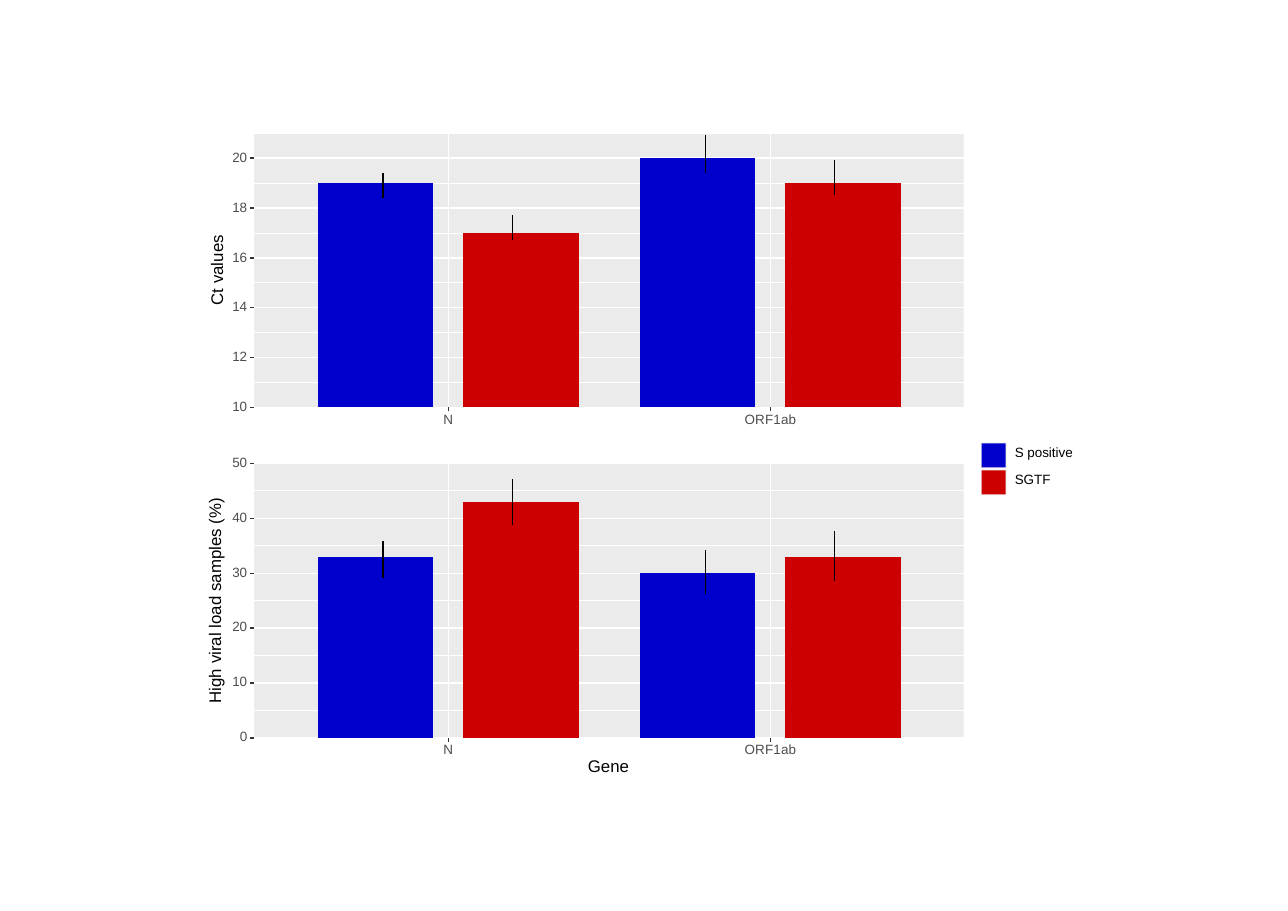
from dataclasses import dataclass

from lxml.etree import SubElement
from pptx import Presentation
from pptx.chart.data import CategoryChartData
from pptx.dml.color import RGBColor
from pptx.enum.chart import XL_CHART_TYPE, XL_TICK_LABEL_POSITION, XL_TICK_MARK
from pptx.enum.shapes import MSO_CONNECTOR, MSO_SHAPE
from pptx.enum.text import MSO_ANCHOR, PP_ALIGN
from pptx.oxml import parse_xml
from pptx.oxml.ns import nsdecls, qn
from pptx.util import Pt

PX = 8313  # EMU per px, 110 px to the inch
COLORS = {
    "panel": "EBEBEB", "grid": "FFFFFF", "tick": "333333", "label": "4D4D4D",
    "text": "000000", "key": "F2F2F2", "S positive": "0000CD", "SGTF": "CD0000",
}
FONT = "Arial"
GENES = ["N", "ORF1ab"]
GENE_X = [448, 770]
GENE_STEP = 322
INTERVAL_SHIFTS = {"S positive": -65, "SGTF": 64}
PANEL_LEFT, PANEL_WIDTH, PANEL_HEIGHT = 254, 709, 274
LABEL_HEIGHT = 24


@dataclass
class Panel:
    title: str
    title_x: int
    title_y: int
    top: int
    low: int
    high: int
    major: range
    minor: range
    values: dict
    intervals: dict

    def y(self, value):
        share = (value - self.low) / (self.high - self.low)
        return round(self.top + PANEL_HEIGHT * (1 - share))


PANELS = [
    Panel("Ct values", 218, 270, 133, 10, 21, range(10, 21, 2), range(11, 22, 2),
          {"S positive": [19, 20], "SGTF": [17, 19]},
          {"S positive": [(18.4, 19.4), (19.4, 20.9)],
           "SGTF": [(16.7, 17.7), (18.5, 19.9)]}),
    Panel("High viral load samples (%)", 216, 600, 463, 0, 50,
          range(0, 51, 10), range(5, 50, 10),
          {"S positive": [33, 30], "SGTF": [43, 33]},
          {"S positive": [(29.2, 35.9), (26.2, 34.3)],
           "SGTF": [(38.9, 47.0), (28.6, 37.7)]}),
]


def color(name):
    return RGBColor.from_string(COLORS[name])


def px(*lengths):
    return [length * PX for length in lengths]


def add_box(slide, left, top, width, height, fill):
    shape = slide.shapes.add_shape(MSO_SHAPE.RECTANGLE, *px(left, top, width, height))
    shape.shadow.inherit = False
    shape.fill.solid()
    shape.fill.fore_color.rgb = color(fill)
    shape.line.fill.background()


def add_line(slide, x1, y1, x2, y2, stroke, width=1.07):
    line = slide.shapes.add_connector(MSO_CONNECTOR.STRAIGHT, *px(x1, y1, x2, y2))
    line.line.color.rgb = color(stroke)
    line.line.width = Pt(width)
    SubElement(line.element.spPr, qn("a:effectLst"))


def add_text(slide, text, left, center_y, width, *, size=8.8, fill="text",
             align=PP_ALIGN.LEFT, rotation=0):
    height = 12
    shape = slide.shapes.add_textbox(*px(left, center_y - height // 2, width, height))
    shape.rotation = rotation
    frame = shape.text_frame
    frame.word_wrap = True
    frame.vertical_anchor = MSO_ANCHOR.MIDDLE
    frame.margin_left = frame.margin_right = frame.margin_top = frame.margin_bottom = 0
    paragraph = frame.paragraphs[0]
    paragraph.text = text
    paragraph.alignment = align
    paragraph.line_spacing = Pt(size)
    paragraph.font.name = FONT
    paragraph.font.size = Pt(size)
    paragraph.font.color.rgb = color(fill)


def add_panel(slide, panel):
    right, bottom = PANEL_LEFT + PANEL_WIDTH, panel.top + PANEL_HEIGHT
    add_box(slide, PANEL_LEFT, panel.top, PANEL_WIDTH, PANEL_HEIGHT, "panel")
    # Grid
    for values, width in ((panel.minor, 0.53), (panel.major, 1.07)):
        for value in values:
            y = panel.y(value)
            add_line(slide, PANEL_LEFT, y, right, y, "grid", width)
    for x in GENE_X:
        add_line(slide, x, bottom, x, panel.top, "grid")
        add_line(slide, x, bottom, x, bottom + 4, "tick")
    # Value scale
    for value in panel.major:
        y = panel.y(value)
        add_line(slide, PANEL_LEFT - 4, y, PANEL_LEFT, y, "tick")
        add_text(slide, str(value), 217, y, 30, fill="label", align=PP_ALIGN.RIGHT)
    add_text(slide, panel.title, panel.title_x - 125, panel.title_y, 250,
             size=11, align=PP_ALIGN.CENTER, rotation=270)


def add_bar_chart(slide, panel):
    data = CategoryChartData()
    data.categories = GENES
    for name, values in panel.values.items():
        data.add_series(name, values)
    height = PANEL_HEIGHT + LABEL_HEIGHT
    frame = slide.shapes.add_chart(
        XL_CHART_TYPE.COLUMN_CLUSTERED,
        *px(GENE_X[0] - GENE_STEP // 2, panel.top, GENE_STEP * len(GENES), height), data)
    chart = frame.chart
    chart.has_legend = chart.has_title = False
    chart.font.name = FONT
    chart.font.size = Pt(8.8)
    chart.font.color.rgb = color("label")

    # Bars
    plot = chart.plots[0]
    plot.vary_by_categories = False
    plot.gap_width, plot.overlap = 53, -26
    for series in plot.series:
        series.format.fill.solid()
        series.format.fill.fore_color.rgb = color(series.name)

    # Axes
    for axis in (chart.category_axis, chart.value_axis):
        axis.has_major_gridlines = False
        axis.major_tick_mark = axis.minor_tick_mark = XL_TICK_MARK.NONE
        axis.format.line.fill.background()
    chart.value_axis.minimum_scale = panel.low
    chart.value_axis.maximum_scale = panel.high
    chart.value_axis.tick_label_position = XL_TICK_LABEL_POSITION.NONE

    # Clear background and fixed plot area
    chart_xml = chart.element.find(qn("c:chart"))
    chart_xml.addnext(parse_xml(
        f'<c:spPr {nsdecls("c", "a")}><a:noFill/><a:ln><a:noFill/></a:ln></c:spPr>'))
    plot_area = chart_xml.find(qn("c:plotArea"))
    for layout in plot_area.findall(qn("c:layout")):
        plot_area.remove(layout)
    plot_area.insert(0, parse_xml(
        f'<c:layout {nsdecls("c")}><c:manualLayout><c:layoutTarget val="inner"/>'
        '<c:xMode val="edge"/><c:yMode val="edge"/><c:x val="0"/><c:y val="0"/>'
        f'<c:w val="1"/><c:h val="{PANEL_HEIGHT / height:.4f}"/>'
        '</c:manualLayout></c:layout>'))


def add_intervals(slide, panel):
    for name, intervals in panel.intervals.items():
        for gene_x, (low, high) in zip(GENE_X, intervals):
            x = gene_x + INTERVAL_SHIFTS[name]
            add_line(slide, x, panel.y(low), x, panel.y(high), "text")


def add_legend(slide):
    for index, name in enumerate(INTERVAL_SHIFTS):
        top = 442 + 27 * index
        add_box(slide, 980, top, 26, 26, "key")
        add_box(slide, 981, top + 1, 24, 24, name)
        add_text(slide, name, 1014, top + 11, 80)


def main():
    presentation = Presentation()
    presentation.slide_width, presentation.slide_height = px(1287, 910)
    slide = presentation.slides.add_slide(presentation.slide_layouts[6])
    for panel in PANELS:
        add_panel(slide, panel)
        add_bar_chart(slide, panel)
        add_intervals(slide, panel)
    add_text(slide, "Gene", 568, 767, 80, size=11, align=PP_ALIGN.CENTER)
    add_legend(slide)
    presentation.save("out.pptx")


if __name__ == "__main__":
    main()
